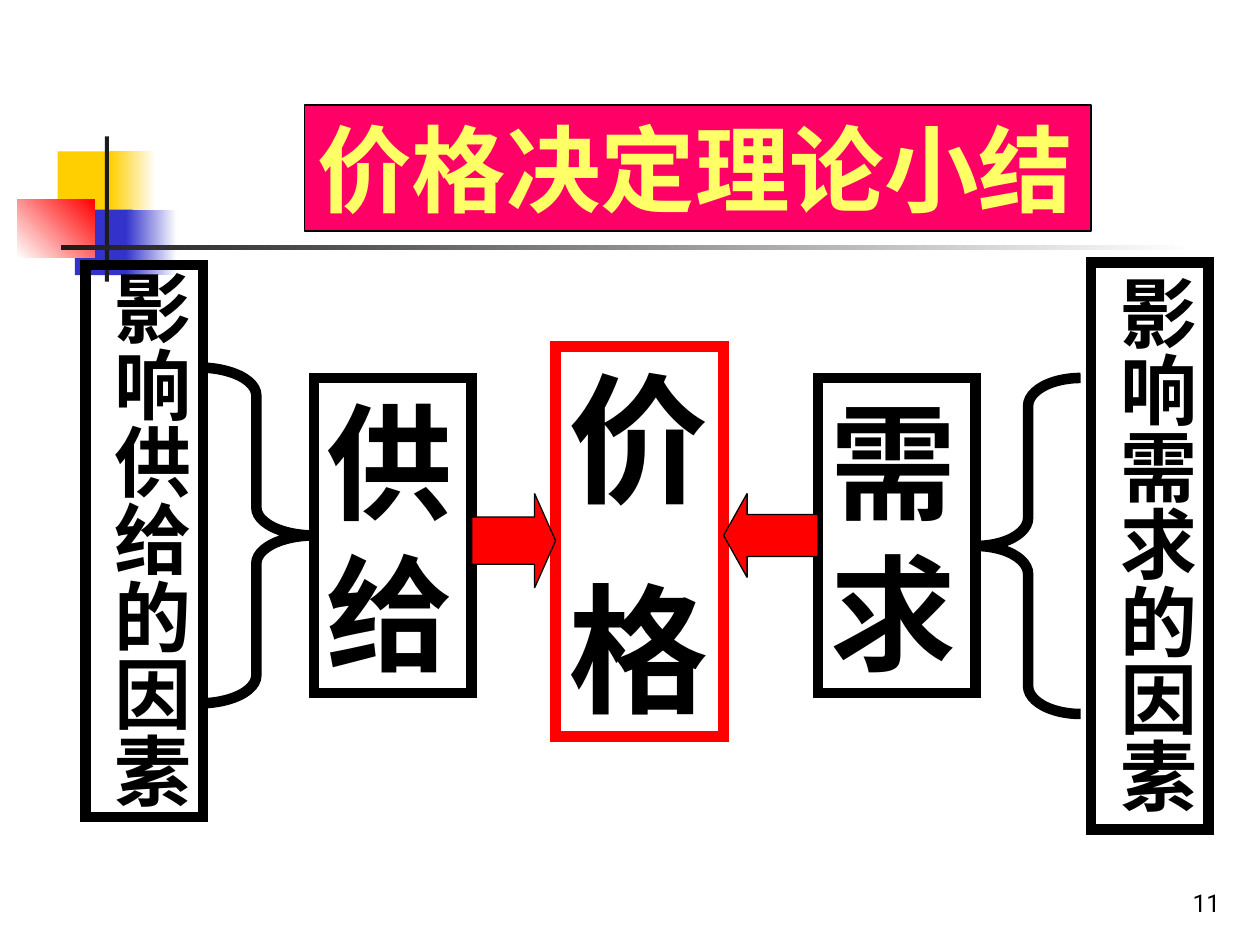
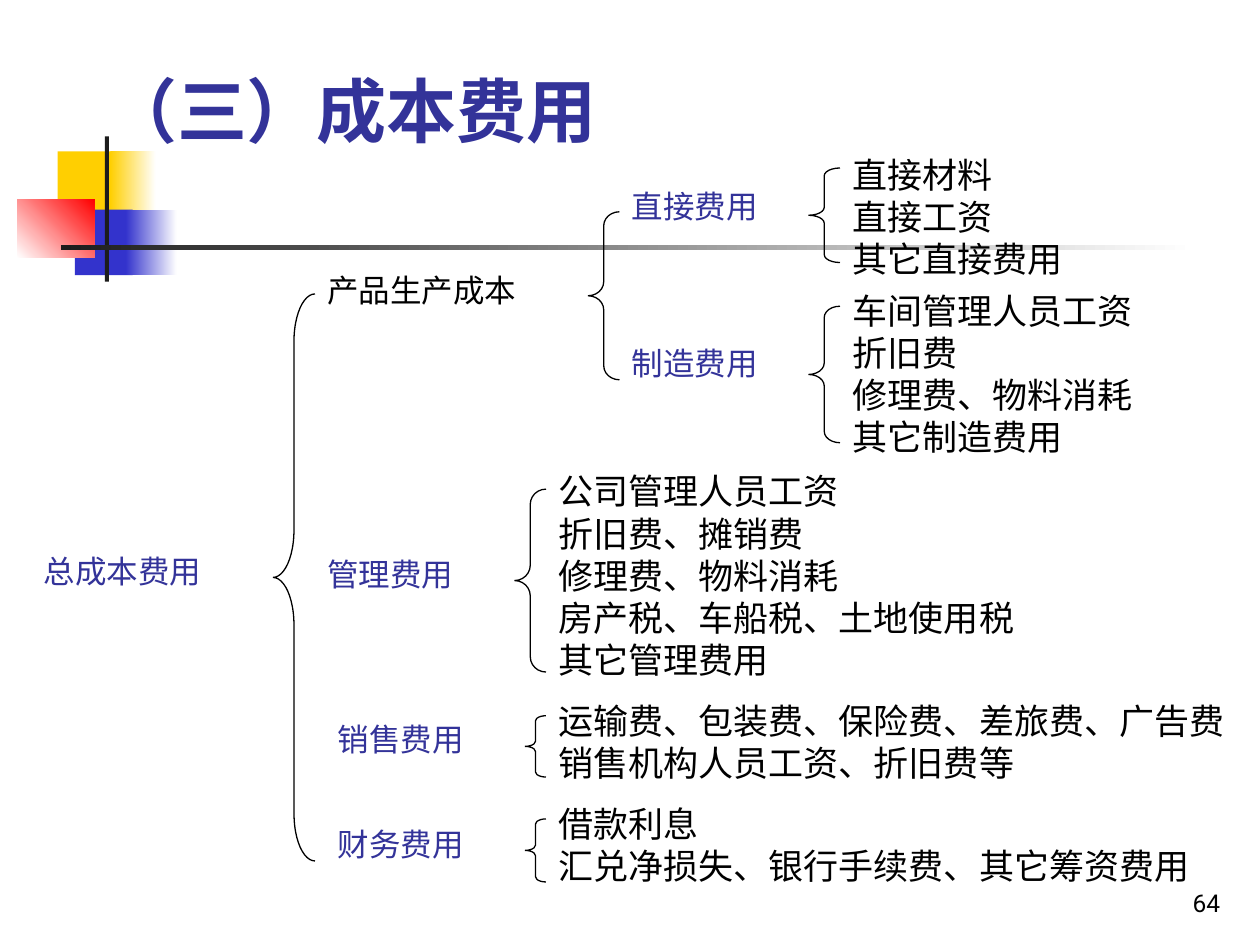
from dataclasses import dataclass
from lxml.etree import SubElement as Sub
from pptx import Presentation
from pptx.dml.color import RGBColor
from pptx.enum.shapes import MSO_SHAPE as Kind
from pptx.enum.text import MSO_ANCHOR as Anchor, MSO_AUTO_SIZE as Fit, PP_ALIGN as Align
from pptx.oxml.ns import qn
from pptx.util import Pt


@dataclass(frozen=True)
class Theme:
    # Colours
    black: str = "000000"
    dark: str = "1C1C1C"
    white: str = "FFFFFF"
    gold: str = "FFCF01"
    blue: str = "3333CC"
    navy: str = "333399"
    red: str = "FF0000"
    pink: str = "FF0066"
    lemon: str = "FFFF66"
    # Fonts
    sans: str = "Roboto"
    serif: str = "Times New Roman"
    cjk: str = "Noto Sans CJK SC"
    # Type sizes
    page: int = 14
    label: int = 18
    item: int = 20
    title: int = 40
    side: int = 44
    banner: int = 54
    force: int = 72
    price: int = 80
    # Line widths
    thin: float = 0.75
    thick: float = 6


T = Theme()


def rgb(code):
    return RGBColor.from_string(code)


# Basic elements

def place(shape, box):
    shape.left, shape.top, shape.width, shape.height = map(Pt, box)


def draw(slide, kind, box, fill=None, line=None, width=T.thin):
    """Add a preset shape; a pair of colours makes a gradient."""
    shape = slide.shapes.add_shape(kind, *map(Pt, box))
    shape.shadow.inherit = False
    if fill is None:
        shape.fill.background()
    elif isinstance(fill, tuple):
        shape.fill.gradient()
        for stop, code in zip(shape.fill.gradient_stops, fill):
            stop.color.rgb = rgb(code)
        shape.fill.gradient_angle = 0
    else:
        shape.fill.solid()
        shape.fill.fore_color.rgb = rgb(fill)
    if line:
        shape.line.color.rgb = rgb(line)
        shape.line.width = Pt(width)
        # Sharp corners
        Sub(shape.line._get_or_add_ln(), qn("a:miter"), lim="800000")
    else:
        shape.line.fill.background()
    return shape


def write(shape, lines, size, color=T.black, face=T.sans, bold=False,
          align=Align.LEFT, anchor=Anchor.TOP, gap=0):
    """Fill a text frame, one paragraph to a line."""
    body = shape.text_frame
    body.word_wrap = True
    body.auto_size = Fit.NONE
    body.vertical_anchor = anchor
    for i, line in enumerate(lines):
        para = body.add_paragraph() if i else body.paragraphs[0]
        para.alignment = align
        if i and gap:
            para.space_before = Pt(gap)
        run = para.add_run()
        run.text = line
        font = run.font
        font.size, font.bold, font.name = Pt(size), bold, face
        font.color.rgb = rgb(color)
        # East Asian face follows the Latin one
        Sub(run._r.rPr, qn("a:ea"), typeface=T.cjk)


def text(slide, box, lines, size, color=T.black, **style):
    write(slide.shapes.add_textbox(*map(Pt, box)), lines, size, color, **style)


def brace(slide, kind, box, width=T.thin):
    """Each curl of the brace takes a twelfth of its height."""
    shape = draw(slide, kind, box, line=T.black, width=width)
    shape.adjustments[0] = box[3] / (12 * box[2])


def arrow(slide, kind, box, head):
    shape = draw(slide, kind, box, T.red, T.black)
    shape.adjustments[0], shape.adjustments[1] = 0.5, head


def frame(slide, box, lines, size, line=T.black, face=T.serif, gap=0):
    """Thick outlined box with bold text."""
    shape = draw(slide, Kind.RECTANGLE, box, line=line, width=T.thick)
    write(shape, lines, size, face=face, bold=True, gap=gap)
    return shape


def column(slide, box, word, pad):
    """Frame with upright text that runs downwards."""
    body = frame(slide, box, [word], T.side).text_frame
    body.margin_left = body.margin_right = Pt(3.6)
    body.margin_top = body.margin_bottom = Pt(pad)
    body._txBody.bodyPr.set("vert", "eaVert")


# Shared slide parts

def base(deck, page):
    """Add a slide with the corner blocks, rule and page number."""
    slide = deck.slides.add_slide(deck.slide_layouts[5])
    blocks = [
        ((33, 86.5, 34.5, 37.5), T.gold),
        ((63, 86.5, 26, 37.5), (T.gold, T.white)),
        ((42.8, 119.8, 33, 37.5), T.blue),
        ((72, 119.8, 29, 37.5), (T.blue, T.white)),
        ((10, 113.8, 44, 33.5), (T.white, T.red)),
        ((59.9, 78, 2.4, 83), T.dark),
        ((34.8, 140, 648, 2.7), (T.dark, T.white)),
    ]
    for box, fill in blocks:
        block = draw(slide, Kind.RECTANGLE, box, fill)
        if fill == (T.white, T.red):
            block.fill.gradient_angle = 45
    text(slide, (554.4, 491.6, 150, 36), [page], T.page, align=Align.RIGHT,
         anchor=Anchor.BOTTOM)
    return slide


def head(slide, box, line, size, color, face, anchor):
    title = slide.shapes.title
    place(title, box)
    write(title, [line], size, color, face=face, bold=True, anchor=anchor)
    return title


# Slides

def prices(deck):
    slide = base(deck, "11")
    title = head(slide, (174, 60, 449.5, 72), "价格决定理论小结", T.banner,
                 T.lemon, T.serif, Anchor.TOP)
    title.fill.solid()
    title.fill.fore_color.rgb = rgb(T.pink)
    title.line.color.rgb = rgb(T.black)
    title.line.width = Pt(T.thin)

    # Price between supply and demand
    frame(slide, (317.5, 198, 96, 223), ["价", "格"], T.price, T.red, T.cjk, 24)
    frame(slide, (179.5, 216, 90, 180), ["供给"], T.force)
    frame(slide, (467.5, 216, 90, 180), ["需求"], T.force)
    column(slide, (49, 151.5, 67, 315.5), "影响供给的因素", 2.8)
    column(slide, (623.5, 150, 67, 324), "影响需求的因素", 7.2)

    # Links
    arrow(slide, Kind.RIGHT_ARROW, (269.5, 282, 48, 54), 0.25)
    arrow(slide, Kind.LEFT_ARROW, (413.5, 282, 54, 48), 0.28)
    brace(slide, Kind.RIGHT_BRACE, (113.5, 210, 66, 192), T.thick)
    brace(slide, Kind.LEFT_BRACE, (557.5, 216, 60, 192), T.thick)


def costs(deck):
    slide = base(deck, "64")
    head(slide, (54, 18, 612, 72), "（三）成本费用", T.title, T.navy, T.sans,
         Anchor.BOTTOM)

    # Cost groups: left, top, word, colour
    labels = [
        (18, 312, "总成本费用", T.navy),
        (180, 151.4, "产品生产成本", T.black),
        (354, 103.2, "直接费用", T.navy),
        (354, 193.2, "制造费用", T.navy),
        (180, 313.5, "管理费用", T.navy),
        (186, 408, "销售费用", T.navy),
        (186, 468, "财务费用", T.navy),
    ]
    for left, top, word, color in labels:
        text(slide, (left, top, 150, 29), [word], T.label, color)

    # Braces
    for box in [
        (156, 168, 24, 324), (336, 121, 18, 96), (462, 96, 18, 54),
        (462, 175, 18, 78), (294, 279.5, 18, 104.5), (300, 409, 12, 35),
        (300, 468, 12, 36),
    ]:
        brace(slide, Kind.LEFT_BRACE, box)

    # Cost items: left, top, width, lines
    lists = [
        (480, 84, 198, ["直接材料", "直接工资", "其它直接费用"]),
        (480, 162, 210, ["车间管理人员工资", "折旧费", "修理费、物料消耗",
                         "其它制造费用"]),
        (312, 265, 282, ["公司管理人员工资", "折旧费、摊销费", "修理费、物料消耗",
                         "房产税、车船税、土地使用税", "其它管理费用"]),
        (312, 396, 396, ["运输费、包装费、保险费、差旅费、广告费",
                         "销售机构人员工资、折旧费等"]),
        (312, 455, 396, ["借款利息", "汇兑净损失、银行手续费、其它筹资费用"]),
    ]
    for left, top, width, lines in lists:
        text(slide, (left, top, width, 7.2 + 24 * len(lines)), lines, T.item)


def main():
    deck = Presentation()
    deck.slide_width, deck.slide_height = Pt(720), Pt(540)
    prices(deck)
    costs(deck)
    deck.save("out.pptx")


if __name__ == "__main__":
    main()
